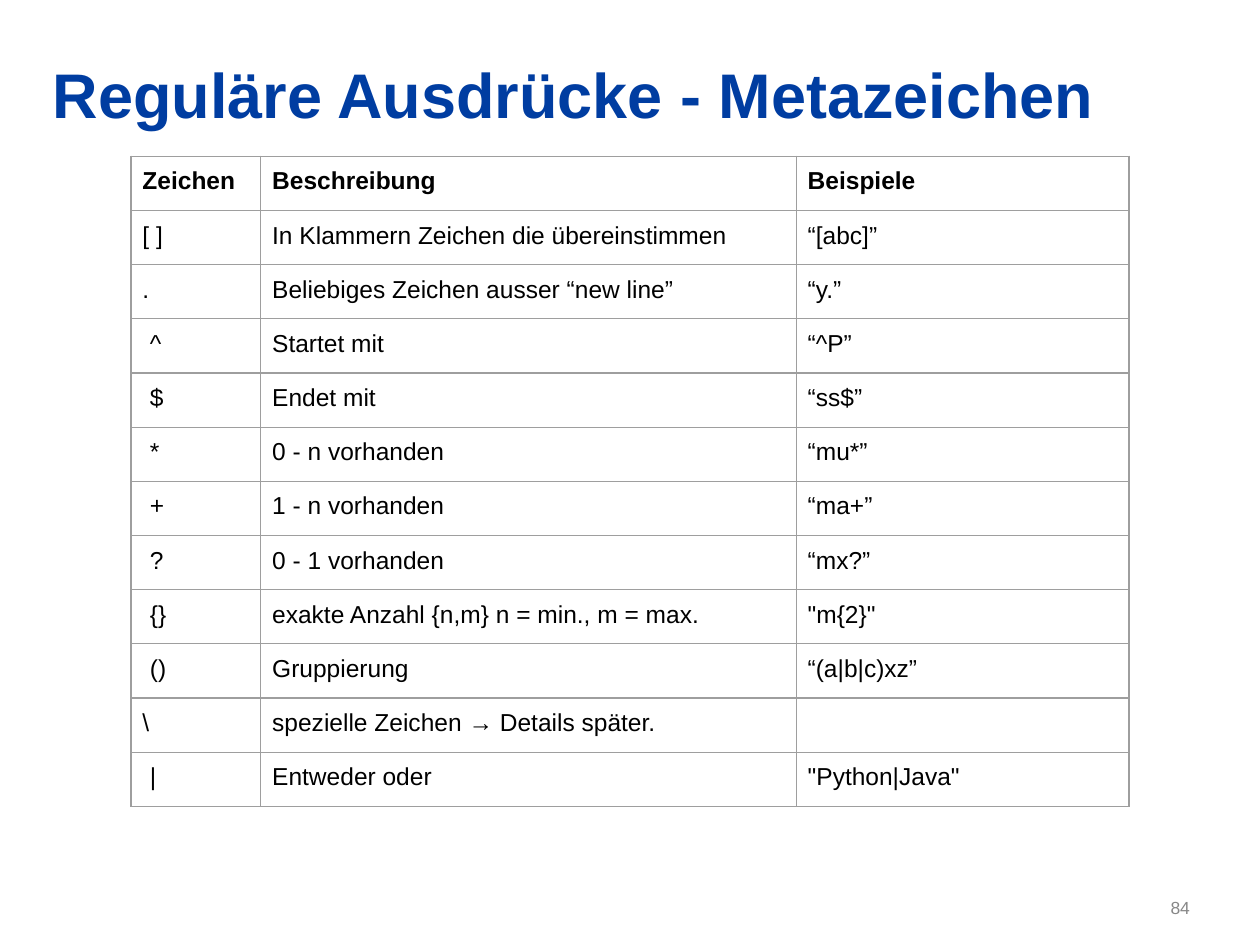
from lxml import etree
from pptx import Presentation
from pptx.dml.color import RGBColor
from pptx.enum.text import MSO_ANCHOR, PP_ALIGN
from pptx.oxml.ns import qn
from pptx.util import Inches, Pt

LEFT = PP_ALIGN.LEFT
TOP = MSO_ANCHOR.TOP

COLORS = {"title": "003DA1", "text": "000000", "number": "888888", "grid": "9E9E9E"}
TITLE = {"size": Pt(36), "bold": True}
HEADER = {"size": Pt(14), "bold": True}
BODY = {"size": Pt(14), "bold": False}
NUMBER = {"size": Pt(10), "bold": False}

COL_WIDTHS = [1.03, 4.25, 2.64]
ROW_HEIGHT = 0.43
INDENT = 0.09
SYMBOL_INDENT = 0.15
INDENTED_SYMBOLS = {"^", "$", "*", "+", "?", "{}", "()", "|"}
ROWS = [
    ("Zeichen", "Beschreibung", "Beispiele"),
    ("[ ]", "In Klammern Zeichen die übereinstimmen", "“[abc]”"),
    (".", "Beliebiges Zeichen ausser “new line”", "“y.”"),
    ("^", "Startet mit", "“^P”"),
    ("$", "Endet mit", "“ss$”"),
    ("*", "0 - n vorhanden", "“mu*”"),
    ("+", "1 - n vorhanden", "“ma+”"),
    ("?", "0 - 1 vorhanden", "“mx?”"),
    ("{}", "exakte Anzahl {n,m} n = min., m = max.", '"m{2}"'),
    ("()", "Gruppierung", "“(a|b|c)xz”"),
    ("\\", "spezielle Zeichen → Details später.", ""),
    ("|", "Entweder oder", '"Python|Java"'),
]


def write(tf, text, color, fmt, indent=0, space=0):
    p = tf.paragraphs[0]
    p.alignment = LEFT
    p.space_before = Pt(space)
    pPr = p._p.get_or_add_pPr()
    pPr.set("marL", str(Inches(indent)))
    pPr.set("indent", "0")
    r = p.add_run()
    r.text = text
    r.font.name = "Arial"
    r.font.color.rgb = RGBColor.from_string(COLORS[color])
    for name, value in fmt.items():
        setattr(r.font, name, value)


def set_margins(target, top=0):
    for side in ("left", "right", "bottom"):
        setattr(target, f"margin_{side}", 0)
    target.margin_top = Inches(top)


def place(sp, left, top, width, height):
    sp.left, sp.top = Inches(left), Inches(top)
    sp.width, sp.height = Inches(width), Inches(height)


def add_title(s, text):
    sp = s.shapes.title
    place(sp, 0.41, 0.43, 8.29, 0.63)
    tf = sp.text_frame
    set_margins(tf, 0.01)
    tf.vertical_anchor = TOP
    write(tf, text, "title", TITLE, 0.01, 1)


def add_page_number(s, text):
    sp = s.shapes.add_textbox(Inches(9.25), Inches(7.12), Inches(0.32), Inches(0.18))
    tf = sp.text_frame
    tf.word_wrap = True
    set_margins(tf)
    write(tf, text, "number", NUMBER, 0.04)


def set_borders(cell):
    tcPr = cell._tc.get_or_add_tcPr()
    for i, side in enumerate(("lnL", "lnR", "lnT", "lnB")):
        ln = etree.Element(qn(f"a:{side}"), w=str(Pt(0.75)))
        fill = etree.SubElement(ln, qn("a:solidFill"))
        etree.SubElement(fill, qn("a:srgbClr"), val=COLORS["grid"])
        tcPr.insert(i, ln)


def add_table(s):
    frame = s.shapes.add_table(
        len(ROWS), len(COL_WIDTHS), Inches(1.04), Inches(1.24),
        Inches(sum(COL_WIDTHS)), Inches(ROW_HEIGHT * len(ROWS)))
    table = frame.table
    table.first_row = table.horz_banding = False
    for col, width in zip(table.columns, COL_WIDTHS):
        col.width = Inches(width)
    for i, texts in enumerate(ROWS):
        table.rows[i].height = Inches(ROW_HEIGHT)
        for j, text in enumerate(texts):
            cell = table.cell(i, j)
            cell.fill.background()
            set_borders(cell)
            set_margins(cell, 0.09)
            if text:
                indent = SYMBOL_INDENT if text in INDENTED_SYMBOLS else INDENT
                fmt = BODY if i else HEADER
                write(cell.text_frame, text, "text", fmt, indent)


def main():
    prs = Presentation()
    prs.slide_width, prs.slide_height = Inches(10), Inches(7.5)
    s = prs.slides.add_slide(prs.slide_layouts[5])
    add_title(s, "Reguläre Ausdrücke - Metazeichen")
    add_page_number(s, "84")
    add_table(s)
    prs.save("out.pptx")


if __name__ == "__main__":
    main()
